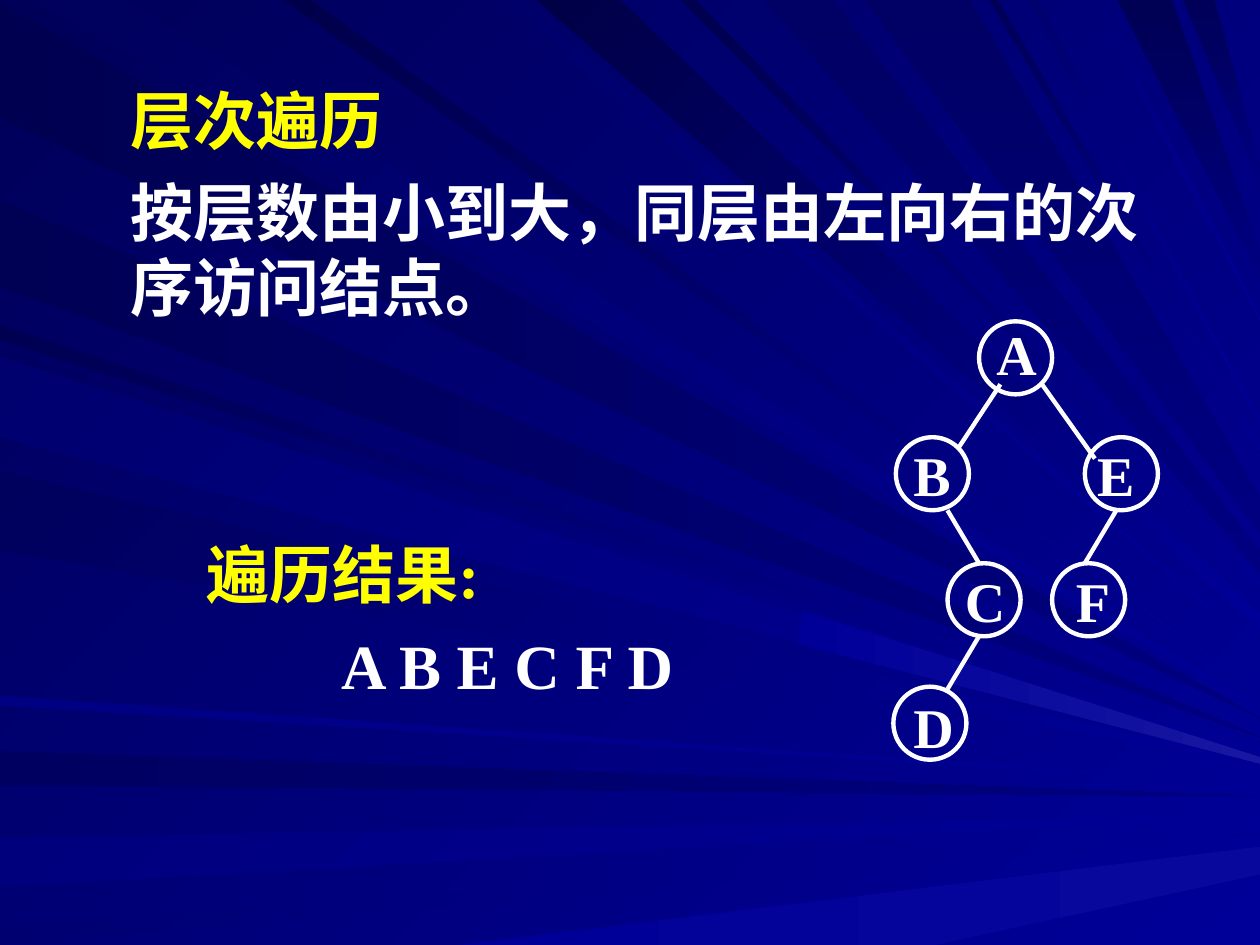
from lxml.etree import SubElement
from pptx import Presentation
from pptx.dml.color import RGBColor as RGB
from pptx.enum.shapes import MSO_CONNECTOR as CONN, MSO_SHAPE as SHAPE
from pptx.oxml.ns import qn
from pptx.util import Pt

PX = 9144  # 100 px to the inch
W, H = 1000, 750
THEME = {
    "white": "FFFFFF", "yellow": "FFFF00", "dark": "000058", "navy": "000080",
    "blue": "000099", "glow": "1717A2", "sheen": "08089C",
    "body": 36, "label": 32, "line": 2.5,
    "cjk": "Arial", "latin": "Times New Roman",
}

# Light rays: edge they start from, start and end on it, height of the tip
# on the right edge, start colour, end colour
RAYS = [
    ("left", 2, 93, 570, "000051", "navy"),
    ("top", 26, 101, 563, "00005D", "blue"),
    ("left", 596, 623, 632, "000061", "navy"),
    ("left", 665, 704, 647, "00007D", "blue"),
    ("left", 735, 755, 662, "00006F", "blue"),
    ("left", 258, 270, 589, "000053", "blue"),
    ("left", 159, 228, 585, "000055", "navy"),
    ("top", 398, 416, 518, "00006B", "blue"),
    ("top", 426, 492, 493, "000047", "blue"),
    ("top", 540, 552, 463, "00004F", "blue"),
    ("top", 606, 661, 446, "000065", "navy"),
    ("top", 887, 930, 210, "000055", "navy"),
    ("top", 939, 964, 140, "000059", "navy"),
    ("left", 278, 342, 599, "000061", "blue"),
    ("left", 374, 437, 606, "00005D", "blue"),
    ("left", 552, 560, 622, "000082", "blue"),
    ("top", 225, 247, 550, "00004A", "blue"),
    ("top", 686, 770, 409, "000065", "navy"),
    ("top", 785, 792, 357, "000058", "blue"),
    ("top", 815, 824, 336, "00006F", "blue"),
    ("top", 865, 872, 253, "000079", "blue"),
    ("left", 283, 347, 604, "00006F", "blue"),
]
GLINTS = [
    ([(637, 485), (W, 601), (W, 606), (633, 511)], "glow"),
    ([(364, H), (756, 702), (W, 672), (W, 694), (742, H)], "sheen"),
]

# Text, colour, font, left indent and paragraph format
BODY = [
    ("层次遍历", "yellow", "cjk", 0, {}),
    ("按层数由小到大，同层由左向右的次序访问结点。", "white", "cjk", 0, {"space_before": Pt(9)}),
    ("遍历结果:", "yellow", "latin", 60, {"space_before": Pt(112), "line_spacing": 1.2}),
    ("A B E C F D", "white", "latin", 167, {"space_before": Pt(9)}),
]

# Tree node: circle left and top, label offset
NODE = 58
NODES = {
    "A": (777, 255, 4, -12),
    "B": (711, 347, 4, -8),
    "D": (709, 545, 6, -6),
    "F": (835, 447, 9, -8),
    "C": (752, 447, 4, -8),
    "E": (861, 347, 0, -8),
}
EDGES = [
    (794, 305, 761, 355), (886, 405, 861, 447), (827, 305, 869, 364),
    (752, 405, 777, 447), (777, 505, 752, 547),
]


def paint(fill, start, end, angle):
    """Fill with a gradient at a clockwise angle."""
    fill.gradient()
    fill.gradient_angle = -angle % 360
    for stop, color in zip(fill.gradient_stops, (start, end)):
        stop.color.rgb = RGB.from_string(THEME.get(color, color))


def write(p, text, size, font, color):
    r = p.add_run()
    r.text = text
    r.font.size, r.font.bold, r.font.name = Pt(THEME[size]), True, THEME[font]
    r.font.color.rgb = RGB.from_string(THEME[color])


prs = Presentation()
prs.slide_width, prs.slide_height = W * PX, H * PX
s = prs.slides.add_slide(prs.slide_layouts[6])
paint(s.background.fill, "dark", "blue", 45)

outlines = []
for edge, a, b, tip, start, end in RAYS:
    if edge == "left":
        points = [(0, a), (W, tip), (0, min(b, H))]
        flat = 0
    else:
        half = max(1, (b - a) * a // (4 * W))  # rays further right end wider
        points = [(a, 0), (W, tip + half), (W, tip - half), (b, 0)]
        flat = 90
    outlines.append((points, start, end, flat if end == "navy" else 45))
outlines += [(points, "blue", end, 0) for points, end in GLINTS]

for points, *colors in outlines:
    builder = s.shapes.build_freeform(*points[0], scale=PX)
    builder.add_line_segments(points[1:], close=True)
    sp = builder.convert_to_shape()
    sp.shadow.inherit = False
    paint(sp.fill, *colors)
    sp.line.fill.background()

tf = s.shapes.add_textbox(94 * PX, 60 * PX, 847 * PX, 607 * PX).text_frame
tf.word_wrap = True
for i, (text, color, font, indent, fmt) in enumerate(BODY):
    p = tf.add_paragraph() if i else tf.paragraphs[0]
    for name, value in fmt.items():
        setattr(p, name, value)
    p._p.get_or_add_pPr().set("marL", str(indent * PX))
    write(p, text, "body", font, color)

for letter, (x, y, dx, dy) in NODES.items():
    sp = s.shapes.add_shape(SHAPE.OVAL, x * PX, y * PX, NODE * PX, NODE * PX)
    sp.shadow.inherit = False
    sp.fill.background()
    sp.line.color.rgb = RGB.from_string(THEME["white"])
    sp.line.width = Pt(THEME["line"])
    label = s.shapes.add_textbox((x + dx) * PX, (y + dy) * PX, NODE * PX, 69 * PX)
    label.text_frame.word_wrap = True
    p = label.text_frame.paragraphs[0]
    p.line_spacing = 1.1
    write(p, letter, "label", "latin", "white")

for edge in EDGES:
    line = s.shapes.add_connector(CONN.STRAIGHT, *(v * PX for v in edge))
    line.line.color.rgb = RGB.from_string(THEME["white"])
    line.line.width = Pt(THEME["line"])
    SubElement(line._element.spPr, qn("a:effectLst"))

prs.save("out.pptx")
